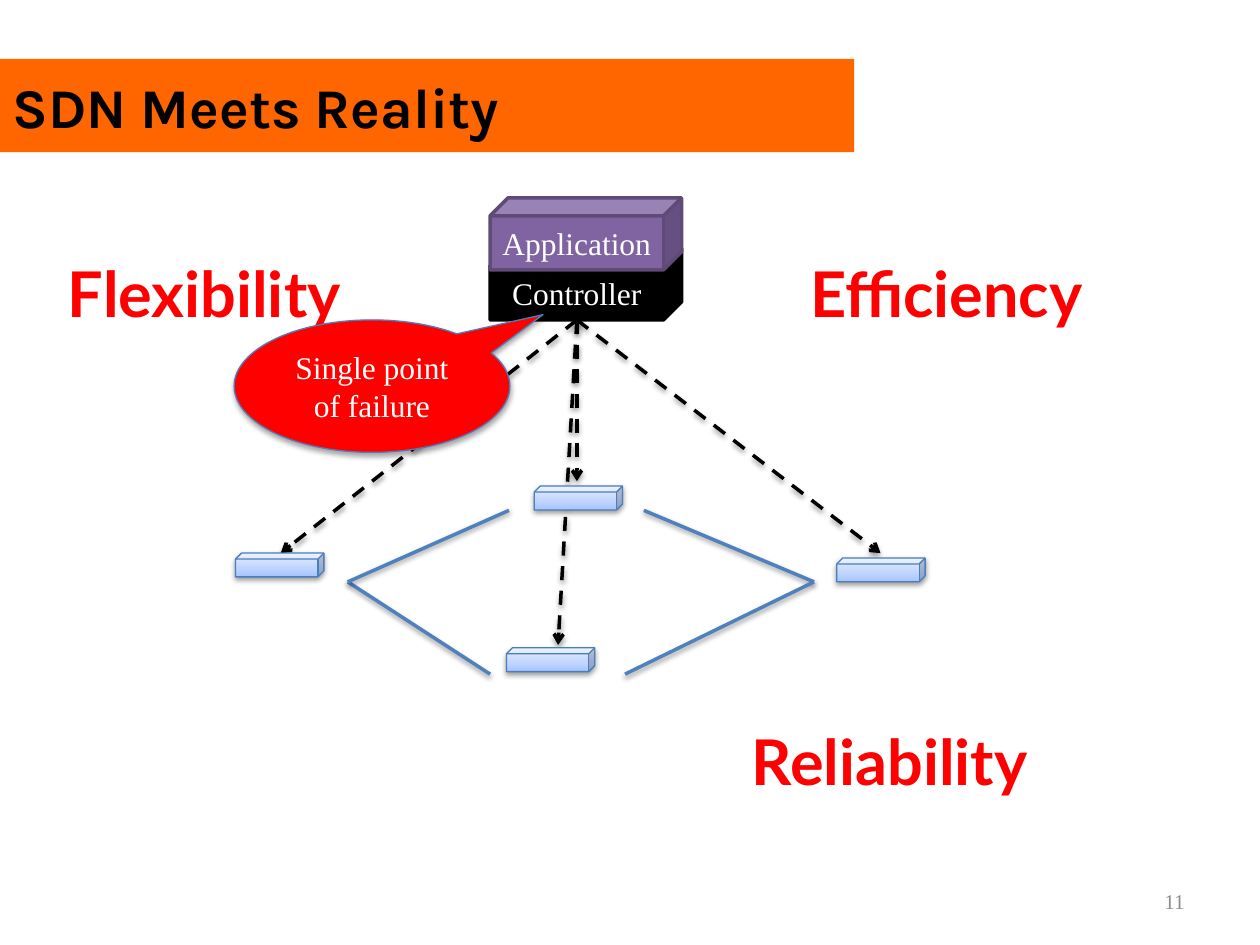
from dataclasses import dataclass

from pptx import Presentation
from pptx.dml.color import RGBColor
from pptx.enum.dml import MSO_LINE
from pptx.enum.shapes import MSO_CONNECTOR, MSO_SHAPE
from pptx.enum.text import MSO_ANCHOR, PP_ALIGN
from pptx.oxml import parse_xml
from pptx.oxml.ns import nsdecls
from pptx.util import Cm, Pt


@dataclass(frozen=True)
class Theme:
    banner: str = "FF6600"
    alert: str = "FF0000"
    black: str = "000000"
    white: str = "FFFFFF"
    muted: str = "8C8C8C"
    link: str = "4F81BD"
    outline: str = "4B7EBC"
    app: str = "8064A2"
    app_edge: str = "5F4A78"
    switch_stops: tuple = ((0, "A4C4FF"), (35, "BFD4FF"), (100, "E6EEFF"))
    title_font: str = "Karla"
    label_font: str = "Lato"
    body_font: str = "Times New Roman"
    title_size: int = 32
    label_size: int = 36
    body_size: int = 18
    number_size: int = 12
    thick: float = 2
    thin: float = 0.75


theme = Theme()
rgb = RGBColor.from_string


def write(shape, text, font, size, color, bold=False, align=PP_ALIGN.LEFT, anchor=MSO_ANCHOR.MIDDLE):
    frame = shape.text_frame
    frame.text = text
    frame.word_wrap = True
    frame.vertical_anchor = anchor
    paragraph = frame.paragraphs[0]
    paragraph.alignment = align
    run_font = paragraph.runs[0].font
    run_font.name = font
    run_font.size = Pt(size)
    run_font.bold = bold
    run_font.color.rgb = rgb(color)


def cast_shadow(shape, alpha, distance):
    shape._element.spPr.append(parse_xml(
        f'<a:effectLst {nsdecls("a")}>'
        f'<a:outerShdw blurRad="{Pt(3.1)}" dist="{Pt(distance)}" dir="5400000" rotWithShape="0">'
        f'<a:srgbClr val="{theme.black}"><a:alpha val="{alpha * 1000}"/></a:srgbClr>'
        '</a:outerShdw></a:effectLst>'))


deck = Presentation()
deck.slide_width, deck.slide_height = Cm(25.4), Cm(19.05)
slide = deck.slides.add_slide(deck.slide_layouts[6])
shapes = slide.shapes

title = shapes.add_shape(MSO_SHAPE.RECTANGLE, Cm(0), Cm(1.19), Cm(17.22), Cm(1.88))
title.shadow.inherit = False
title.fill.solid()
title.fill.fore_color.rgb = rgb(theme.banner)
title.line.fill.background()
write(title, "SDN Meets Reality", theme.title_font, theme.title_size, theme.black, bold=True)

slide_number = shapes.add_textbox(Cm(18.21), Cm(17.65), Cm(5.92), Cm(1.02))
write(slide_number, "11", theme.body_font, theme.number_size, theme.muted, align=PP_ALIGN.RIGHT)

west, east = (7.01, 11.73), (16.41, 11.73)
for start, end in (
    (west, (9.88, 13.59)),
    (east, (12.98, 10.29)),
    (west, (10.26, 10.29)),
    (east, (12.6, 13.59)),
):
    link = shapes.add_connector(MSO_CONNECTOR.STRAIGHT, *map(Cm, start + end))
    link.line.color.rgb = rgb(theme.link)
    link.line.width = Pt(theme.thick)
    cast_shadow(link, 38, 1.6)

hub = (11.63, 6.45)
for target in ((5.66, 11.15), (11.25, 13), (11.63, 9.7), (17.75, 11.15)):
    control = shapes.add_connector(MSO_CONNECTOR.STRAIGHT, *map(Cm, hub + target))
    control.line.color.rgb = rgb(theme.black)
    control.line.width = Pt(theme.thick)
    control.line.dash_style = MSO_LINE.DASH
    control.line._get_or_add_ln().append(parse_xml(f'<a:tailEnd {nsdecls("a")} type="arrow"/>'))
    cast_shadow(control, 38, 1.6)

for text, left, top in (
    ("Flexibility", 1.12, 5),
    ("Efficiency", 16.08, 5),
    ("Reliability", 14.91, 14.45),
):
    goal = shapes.add_textbox(Cm(left), Cm(top), Cm(6.58), Cm(1.8))
    write(goal, text, theme.label_font, theme.label_size, theme.alert, bold=True, anchor=MSO_ANCHOR.TOP)

for text, top, fill, edge in (
    ("Controller", 5, theme.black, theme.black),
    ("Application", 3.99, theme.app, theme.app_edge),
):
    layer = shapes.add_shape(MSO_SHAPE.CUBE, Cm(9.88), Cm(top), Cm(3.86), Cm(1.45))
    layer.shadow.inherit = False
    layer.fill.solid()
    layer.fill.fore_color.rgb = rgb(fill)
    layer.line.color.rgb = rgb(edge)
    layer.line.width = Pt(theme.thick)
    write(layer, text, theme.body_font, theme.body_size, theme.white, align=PP_ALIGN.CENTER)

failure = shapes.add_shape(MSO_SHAPE.OVAL_CALLOUT, Cm(4.72), Cm(6.45), Cm(5.56), Cm(2.67))
failure.adjustments[0], failure.adjustments[1] = 0.62, -0.54
failure.fill.solid()
failure.fill.fore_color.rgb = rgb(theme.alert)
failure.line.color.rgb = rgb(theme.outline)
failure.line.width = Pt(theme.thin)
cast_shadow(failure, 35, 1.8)
write(failure, "Single point of failure", theme.body_font, theme.body_size, theme.white, align=PP_ALIGN.CENTER)

stops = "".join(
    f'<a:gs pos="{position * 1000}"><a:srgbClr val="{color}"/></a:gs>'
    for position, color in theme.switch_stops)
for left, top in ((4.75, 11.15), (16.87, 11.25), (10.21, 13.06), (10.77, 9.8)):
    switch = shapes.add_shape(MSO_SHAPE.CUBE, Cm(left), Cm(top), Cm(1.78), Cm(0.48))
    switch._element.spPr.append(parse_xml(
        f'<a:gradFill {nsdecls("a")} rotWithShape="1"><a:gsLst>{stops}</a:gsLst>'
        '<a:lin ang="16200000" scaled="0"/></a:gradFill>'))
    switch.line.color.rgb = rgb(theme.outline)
    switch.line.width = Pt(theme.thin)
    cast_shadow(switch, 38, 1.6)

deck.save("out.pptx")
